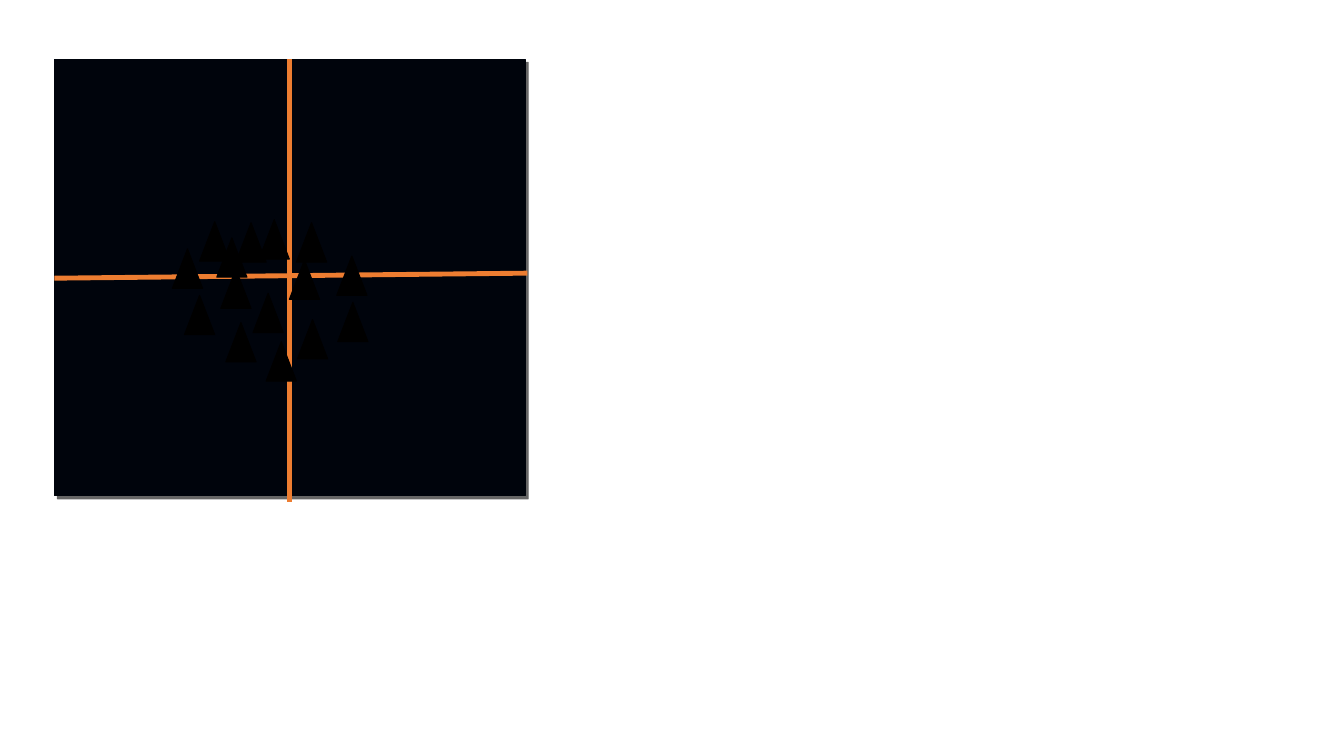
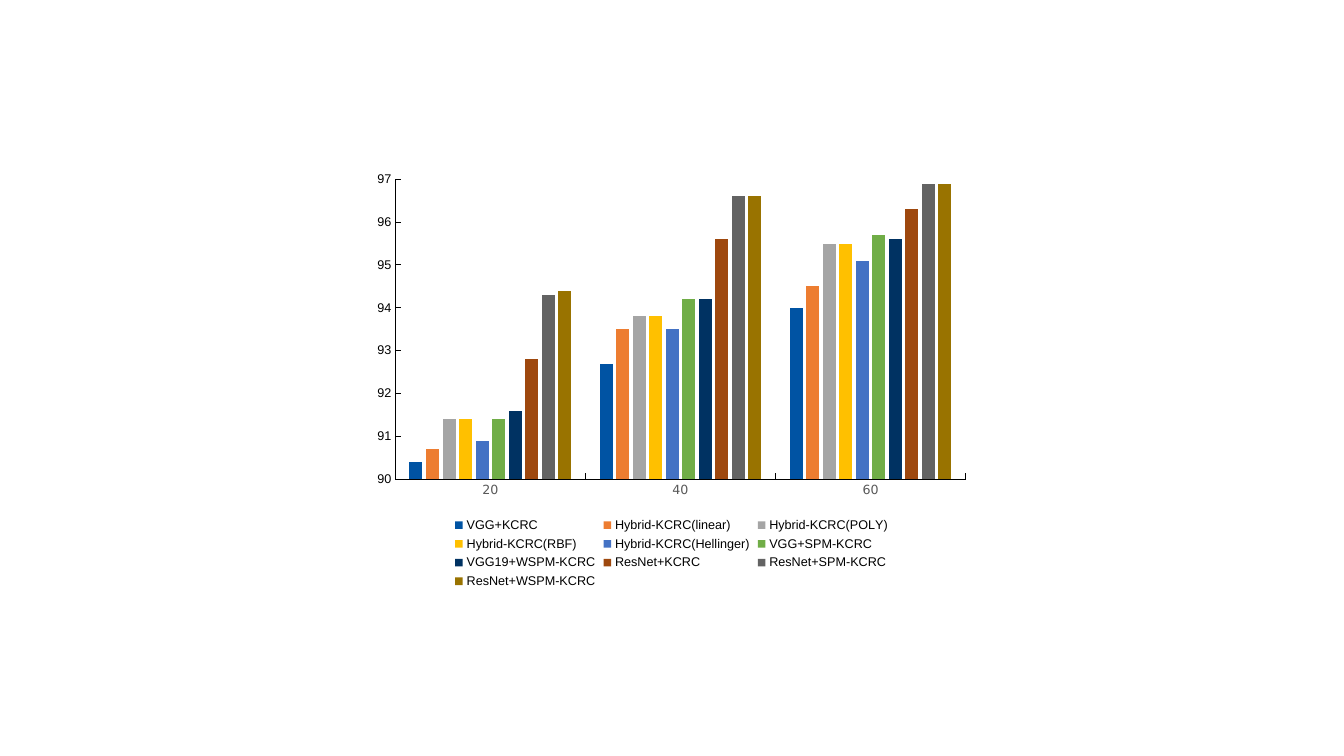
"""Build a scatter diagram slide and a clustered column chart slide."""
from lxml import etree
from pptx import Presentation
from pptx.chart.data import CategoryChartData
from pptx.dml.color import RGBColor
from pptx.enum.chart import XL_CHART_TYPE, XL_LEGEND_POSITION, XL_TICK_MARK
from pptx.enum.shapes import MSO_CONNECTOR, MSO_SHAPE
from pptx.oxml import parse_xml
from pptx.oxml.ns import nsdecls, qn
from pptx.util import Inches, Pt

COLUMNS = XL_CHART_TYPE.COLUMN_CLUSTERED
BOTTOM = XL_LEGEND_POSITION.BOTTOM
TICK_IN, TICK_NONE = XL_TICK_MARK.INSIDE, XL_TICK_MARK.NONE
STRAIGHT = MSO_CONNECTOR.STRAIGHT
RECT, TRIANGLE = MSO_SHAPE.RECTANGLE, MSO_SHAPE.ISOSCELES_TRIANGLE

BLACK, NAVY, ORANGE, GREY = "000000", "00040C", "ED7D31", "595959"
SANS, ARIAL = "DejaVu Sans", "Arial"

POINT_SIZE = (0.3, 0.39)
POINTS = [
    (2.94, 2.21), (2.34, 2.21), (2.19, 2.67), (2.51, 2.91), (2.57, 2.18),
    (2.95, 3.17), (2.87, 2.58), (2.24, 3.2), (1.83, 2.93), (2.64, 3.39),
    (1.98, 2.2), (2.15, 2.36), (3.35, 3), (1.71, 2.47), (3.34, 2.54),
]

CATEGORIES = ["20", "40", "60"]
SERIES = [
    ("VGG+KCRC", (90.4, 92.7, 94), "0053A3"),
    ("Hybrid-KCRC(linear)", (90.7, 93.5, 94.5), ORANGE),
    ("Hybrid-KCRC(POLY)", (91.4, 93.8, 95.5), "A5A5A5"),
    ("Hybrid-KCRC(RBF)", (91.4, 93.8, 95.5), "FFC000"),
    ("Hybrid-KCRC(Hellinger)", (90.9, 93.5, 95.1), "4472C4"),
    ("VGG+SPM-KCRC", (91.4, 94.2, 95.7), "70AD47"),
    ("VGG19+WSPM-KCRC", (91.6, 94.2, 95.6), "003262"),
    ("ResNet+KCRC", (92.8, 95.6, 96.3), "9E480E"),
    ("ResNet+SPM-KCRC", (94.3, 96.6, 96.9), "636363"),
    ("ResNet+WSPM-KCRC", (94.4, 96.6, 96.9), "997300"),
]


def rgb(color):
    """Turn a hex string into a colour."""
    return RGBColor.from_string(color)


def add_slide(prs):
    """Add a blank slide."""
    return prs.slides.add_slide(prs.slide_layouts[6])


def set_line(line, color, width):
    """Give a line its colour and its width in points."""
    line.color.rgb = rgb(color)
    line.width = Pt(width)


def set_font(font, size=9, color=BLACK, name=ARIAL):
    """Format a chart font."""
    font.size, font.name = Pt(size), name
    font.color.rgb = rgb(color)


def add_box(s, kind, at, color):
    """Add a filled preset shape with an outline of the same colour."""
    sp = s.shapes.add_shape(kind, *map(Inches, at))
    sp.shadow.inherit = False
    sp.fill.solid()
    sp.fill.fore_color.rgb = rgb(color)
    set_line(sp.line, color, 0.75)
    return sp


def add_shadow(sp):
    """Cast a sharp shadow to the lower right."""
    effects = sp._element.spPr.find(qn("a:effectLst"))
    effects.append(parse_xml(
        f'<a:outerShdw {nsdecls("a")} blurRad="0" dist="{Pt(3)}" dir="2700000" '
        'algn="ctr" rotWithShape="0"><a:srgbClr val="000000">'
        '<a:alpha val="60000"/></a:srgbClr></a:outerShdw>'))


def add_line(s, start, end, width):
    """Add a straight orange line without a shadow."""
    line = s.shapes.add_connector(STRAIGHT, *map(Inches, start + end))
    set_line(line.line, ORANGE, width)
    etree.SubElement(line._element.spPr, qn("a:effectLst"))


def format_axis(axis, **font):
    """Style an axis with inward ticks and no gridlines."""
    axis.has_major_gridlines = False
    axis.major_tick_mark, axis.minor_tick_mark = TICK_IN, TICK_NONE
    set_line(axis.format.line, BLACK, 0.75)
    set_font(axis.tick_labels.font, **font)


def add_columns(s, at):
    """Add the clustered column chart with its legend."""
    data = CategoryChartData()
    data.categories = CATEGORIES
    for name, values, _ in SERIES:
        data.add_series(name, values)
    chart = s.shapes.add_chart(COLUMNS, *map(Inches, at), data).chart
    chart.has_title = False
    set_font(chart.font, size=10, name=SANS)
    chart.has_legend = True
    chart.legend.position = BOTTOM
    chart.legend.include_in_layout = False
    set_font(chart.legend.font)
    format_axis(chart.category_axis, color=GREY, name=SANS)
    values_axis = chart.value_axis
    format_axis(values_axis)
    values_axis.minimum_scale, values_axis.maximum_scale = 90, 97
    values_axis.major_unit = 1
    plot = chart.plots[0]
    plot.vary_by_categories = False
    plot.gap_width, plot.overlap = 219, -27
    for series, (_, _, color) in zip(plot.series, SERIES):
        series.format.fill.solid()
        series.format.fill.fore_color.rgb = rgb(color)


def build_scatter(prs):
    """Draw a divided square with triangular points."""
    s = add_slide(prs)
    add_shadow(add_box(s, RECT, (0.54, 0.59, 4.67, 4.33), NAVY))
    add_line(s, (0.54, 2.76), (5.23, 2.71), 3.5)
    add_line(s, (2.87, 0.59), (2.87, 4.98), 3.75)
    for point in POINTS:
        add_box(s, TRIANGLE, point + POINT_SIZE, BLACK)


def main():
    """Build and save the presentation."""
    prs = Presentation()
    prs.slide_width, prs.slide_height = Inches(13.33), Inches(7.5)
    build_scatter(prs)
    add_columns(add_slide(prs), (3.62, 1.62, 6.08, 4.26))
    prs.save("out.pptx")


if __name__ == "__main__":
    main()
